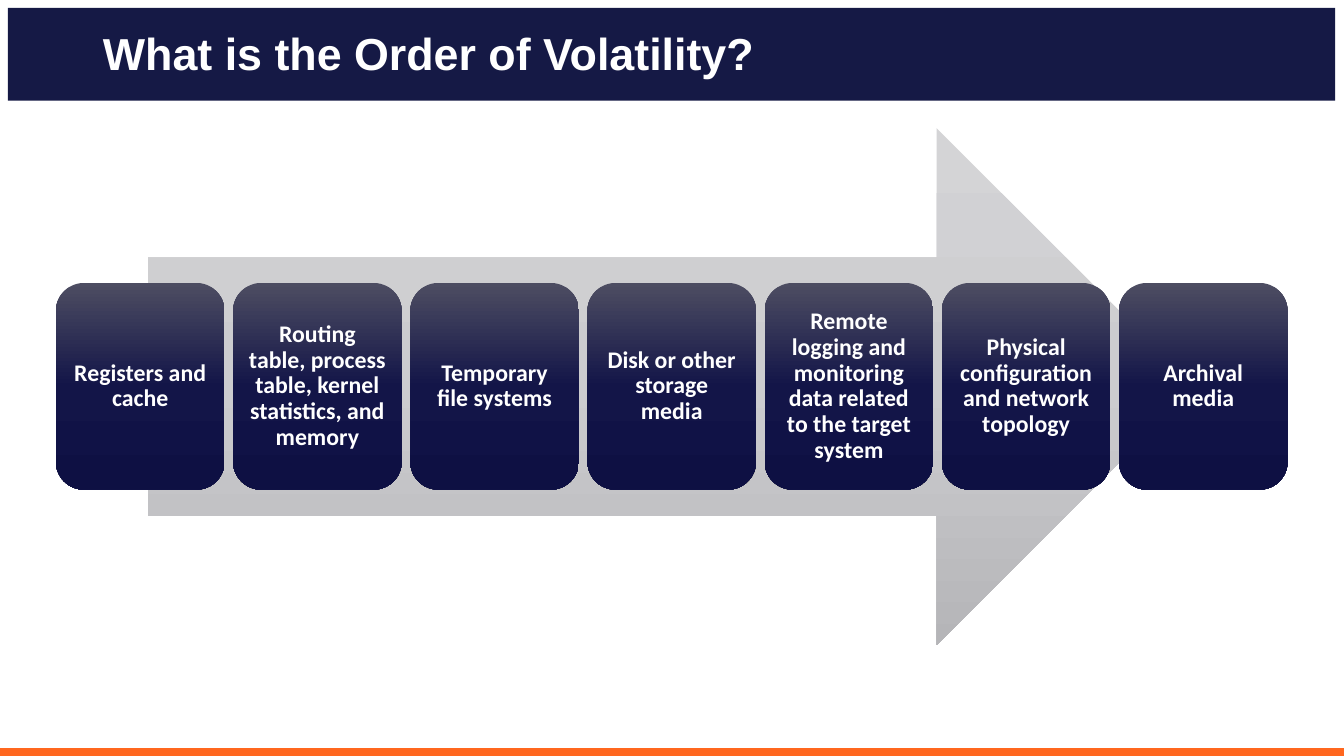
"""Build the order of volatility slide: seven cards along a large arrow."""
import copy
import dataclasses

import pptx
import pptx.dml.color
import pptx.enum.shapes
import pptx.enum.text
import pptx.presentation
import pptx.shapes.autoshape
import pptx.slide
import pptx.util

Cm = pptx.util.Cm
Pt = pptx.util.Pt
RGBColor = pptx.dml.color.RGBColor
Preset = pptx.enum.shapes.MSO_SHAPE
Align = pptx.enum.text.PP_ALIGN
Anchor = pptx.enum.text.MSO_ANCHOR

NAVY = RGBColor(0x15, 0x19, 0x45)
ORANGE = RGBColor(0xFF, 0x67, 0x1F)
WHITE = RGBColor(0xFF, 0xFF, 0xFF)
ARROW_COLORS = (
    RGBColor(0xD4, 0xD4, 0xD6),
    RGBColor(0xCC, 0xCC, 0xCF),
    RGBColor(0xB5, 0xB5, 0xB8),
)
CARD_COLORS = (
    RGBColor(0x4D, 0x4D, 0x62),
    RGBColor(0x13, 0x15, 0x48),
    RGBColor(0x0E, 0x10, 0x43),
)

FIRST_CARD_LEFT = 1.41
LAST_CARD_LEFT = 28.2
CARD_LABELS = (
    "Registers and cache",
    "Routing table, process table, kernel statistics, and memory",
    "Temporary file systems",
    "Disk or other storage media",
    "Remote logging and monitoring data related to the target system",
    "Physical configuration and network topology",
    "Archival media",
)


@dataclasses.dataclass(frozen=True)
class Block:
    """A borderless shape, measured in centimetres, filled from top to bottom."""

    preset: Preset
    left: float
    top: float
    width: float
    height: float
    colors: tuple[RGBColor, ...]
    label: str = ""


def fill_block(shape: pptx.shapes.autoshape.Shape, colors: tuple[RGBColor, ...]) -> None:
    """Fill with one solid colour or with evenly spaced gradient colours."""
    if len(colors) == 1:
        shape.fill.solid()
        shape.fill.fore_color.rgb = colors[0]
        return
    shape.fill.gradient()
    shape.fill.gradient_angle = 270
    stop_list = shape.element.spPr.gradFill.gsLst
    while len(stop_list) < len(colors):
        stop_list.append(copy.deepcopy(stop_list[0]))
    for index, (stop, color) in enumerate(zip(shape.fill.gradient_stops, colors)):
        stop.position = index / (len(colors) - 1)
        stop.color.rgb = color


def write_label(shape: pptx.shapes.autoshape.Shape, label: str) -> None:
    """Write a centred card label."""
    frame = shape.text_frame
    frame.word_wrap = True
    frame.vertical_anchor = Anchor.MIDDLE
    frame.margin_left = frame.margin_right = Cm(0.18)
    frame.margin_top = frame.margin_bottom = Cm(0.18)
    frame.text = label
    paragraph = frame.paragraphs[0]
    paragraph.alignment = Align.CENTER
    format_paragraph(paragraph, "Calibri", 17)


def format_paragraph(paragraph: pptx.text.text._Paragraph, font_name: str, size: int) -> None:
    """Apply the bold white type shared by the title and the cards."""
    paragraph.line_spacing = 0.9
    paragraph.font.name = font_name
    paragraph.font.size = Pt(size)
    paragraph.font.bold = True
    paragraph.font.color.rgb = WHITE


def draw_block(slide: pptx.slide.Slide, block: Block) -> None:
    """Draw one block with its optional label."""
    shape = slide.shapes.add_shape(
        block.preset, Cm(block.left), Cm(block.top), Cm(block.width), Cm(block.height)
    )
    shape.shadow.inherit = False
    shape.line.fill.background()
    fill_block(shape, block.colors)
    if block.label:
        write_label(shape, block.label)


def place_title(slide: pptx.slide.Slide) -> None:
    """Move the title over the header bar and format it."""
    title = slide.shapes.title
    title.left, title.top, title.width, title.height = Cm(2.34), Cm(-0.05), Cm(31.04), Cm(2.9)
    frame = title.text_frame
    frame.text = "What is the Order of Volatility?"
    frame.vertical_anchor = Anchor.MIDDLE
    paragraph = frame.paragraphs[0]
    paragraph.alignment = Align.LEFT
    format_paragraph(paragraph, "Arial", 32)
    slide.shapes.element.append(title.element)


def main() -> None:
    """Build and save the presentation."""
    presentation = pptx.Presentation()
    presentation.slide_width = Cm(33.87)
    presentation.slide_height = Cm(19.05)
    slide = presentation.slides.add_slide(presentation.slide_layouts[5])

    pitch = (LAST_CARD_LEFT - FIRST_CARD_LEFT) / (len(CARD_LABELS) - 1)
    header = Block(Preset.RECTANGLE, 0.2, 0.2, 33.45, 2.34, (NAVY,))
    footer = Block(Preset.RECTANGLE, 0, 18.85, 33.87, 0.2, (ORANGE,))
    arrow = Block(Preset.RIGHT_ARROW, 3.73, 3.23, 26.39, 13.03, ARROW_COLORS)
    cards = [
        Block(Preset.ROUNDED_RECTANGLE, FIRST_CARD_LEFT + index * pitch, 7.13, 4.25, 5.21, CARD_COLORS, label)
        for index, label in enumerate(CARD_LABELS)
    ]
    for block in (header, footer, arrow, *cards):
        draw_block(slide, block)
    place_title(slide)
    presentation.save("out.pptx")


if __name__ == "__main__":
    main()
